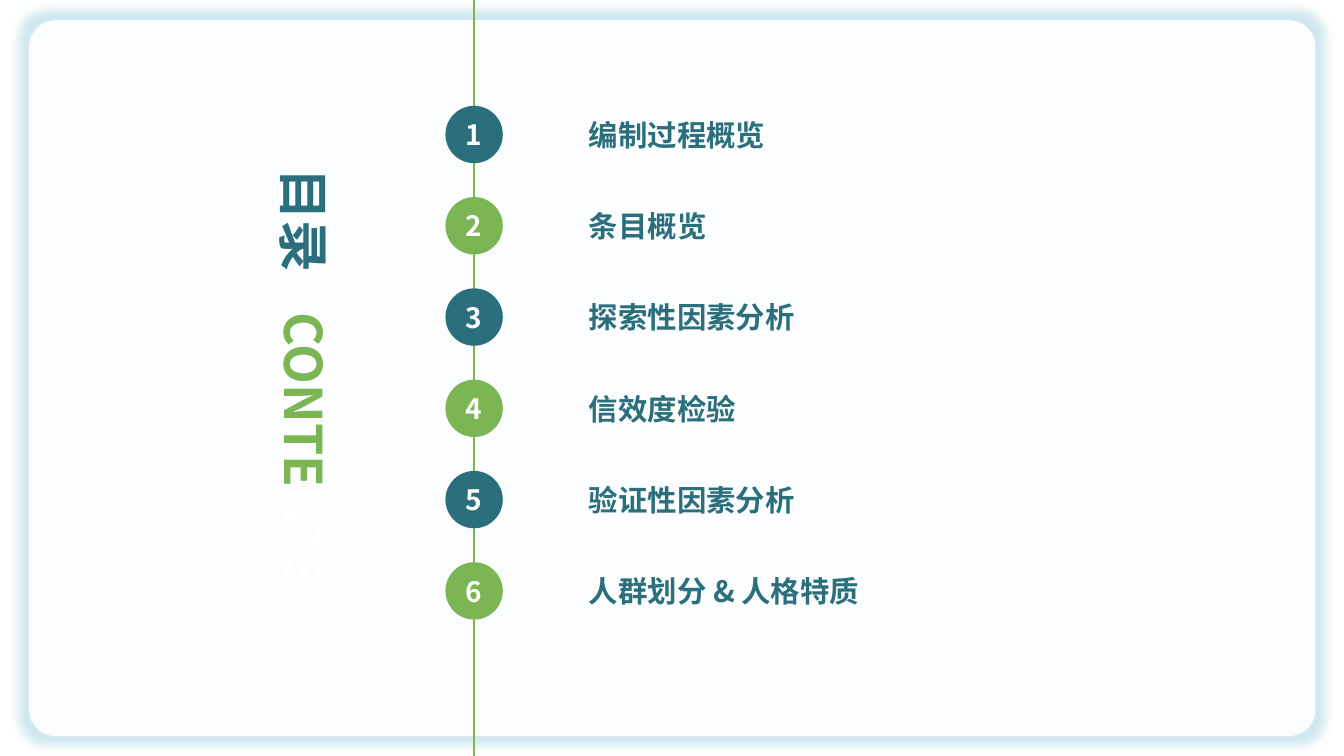
from lxml.etree import SubElement
from pptx import Presentation
from pptx.dml.color import RGBColor
from pptx.enum.shapes import MSO_CONNECTOR, MSO_SHAPE
from pptx.enum.text import MSO_ANCHOR, PP_ALIGN
from pptx.oxml.ns import qn
from pptx.util import Pt

FONT = "Noto Sans CJK SC"
TEAL, GREEN, WHITE, HALO = "2B6F7D", "7CB554", "FFFFFF", "D0E8EF"
ITEMS = ["编制过程概览", "条目概览", "探索性因素分析",
         "信效度检验", "验证性因素分析", "人群划分 & 人格特质"]


def rgb(color):
    """Turn a hex string into a colour."""
    return RGBColor.from_string(color)


def write(sp, text, size, color=TEAL, align=PP_ALIGN.LEFT, wrap=True):
    """Add a bold run to the shape's first paragraph and format its frame."""
    tf = sp.text_frame
    tf.word_wrap = wrap
    tf.vertical_anchor = MSO_ANCHOR.MIDDLE
    tf.margin_left = tf.margin_right = Pt(9.4)
    tf.margin_top = tf.margin_bottom = Pt(5)
    p = tf.paragraphs[0]
    p.alignment = align
    r = p.add_run()
    r.text = text
    r.font.size, r.font.bold, r.font.name = Pt(size), True, FONT
    r.font.color.rgb = rgb(color)
    SubElement(r.font._element, qn("a:ea"), typeface=FONT)


def place(sp, x, y, w, h, rotation=0):
    """Set the position, size and rotation of a shape."""
    sp.left, sp.top, sp.width, sp.height = Pt(x), Pt(y), Pt(w), Pt(h)
    sp.rotation = rotation


def add_filled(s, kind, x, y, w, h, color):
    """Add a plain filled shape without outline or shadow."""
    sp = s.shapes.add_shape(kind, Pt(x), Pt(y), Pt(w), Pt(h))
    sp.shadow.inherit = False
    sp.fill.solid()
    sp.fill.fore_color.rgb = rgb(color)
    sp.line.fill.background()
    return sp


def add_panel(s, x, y, w, h):
    """Place the glowing rounded panel behind everything else."""
    sp = add_filled(s, MSO_SHAPE.ROUNDED_RECTANGLE, x, y, w, h, WHITE)
    sp.adjustments[0] = 0.037
    fill = sp._element.spPr.find(qn("a:solidFill"))
    SubElement(fill[0], qn("a:alpha"), val="95000")
    effects = sp._element.spPr.find(qn("a:effectLst"))
    glow = SubElement(effects, qn("a:glow"), rad=str(Pt(14)))
    SubElement(glow, qn("a:srgbClr"), val=HALO)
    s.shapes._spTree.insert(2, sp._element)


def add_heading(s, x, y, w, h):
    """Place the two sideways headings, centred on the given column."""
    mid = x + w / 2
    title = s.shapes.title
    place(title, mid - 47.5, y + 47.5 - w / 2, 95, w, 90)
    write(title, "目录", 37)
    length = h - 103
    sub = s.shapes.add_textbox(0, 0, 0, 0)
    place(sub, mid - length / 2, y + h - length / 2 - w / 2, length, w, 90)
    write(sub, "CONTE", 37, GREEN)
    write(sub, "NTS", 37, WHITE)


def add_agenda(s, x, y, w, h):
    """Place the timeline and its numbered items at an equal pitch."""
    size, top, pitch = 41, y + 75.6, 65.2
    axis = x + size / 2
    line = s.shapes.add_connector(
        MSO_CONNECTOR.STRAIGHT, Pt(axis), Pt(y), Pt(axis), Pt(y + h))
    line.line.color.rgb = rgb(GREEN)
    line.line.width = Pt(1.25)
    SubElement(line._element.spPr, qn("a:effectLst"))
    for i, item in enumerate(ITEMS):
        cy = top + i * pitch
        badge = add_filled(s, MSO_SHAPE.OVAL, x, cy, size, size,
                           GREEN if i % 2 else TEAL)
        write(badge, str(i + 1), 20, WHITE, PP_ALIGN.CENTER, wrap=False)
        label = s.shapes.add_textbox(0, 0, 0, 0)
        place(label, x + 93, cy + 3, w - 93, size - 6)
        write(label, item, 21)


def main():
    """Build the contents slide."""
    prs = Presentation()
    prs.slide_width, prs.slide_height = Pt(960), Pt(540)
    s = prs.slides.add_slide(prs.slide_layouts[5])
    add_panel(s, 20.8, 14.4, 918.8, 511.4)
    add_heading(s, 190.8, 110.8, 54.8, 333.4)
    add_agenda(s, 318.2, 0, 466.8, 540)
    prs.save("out.pptx")


if __name__ == "__main__":
    main()
